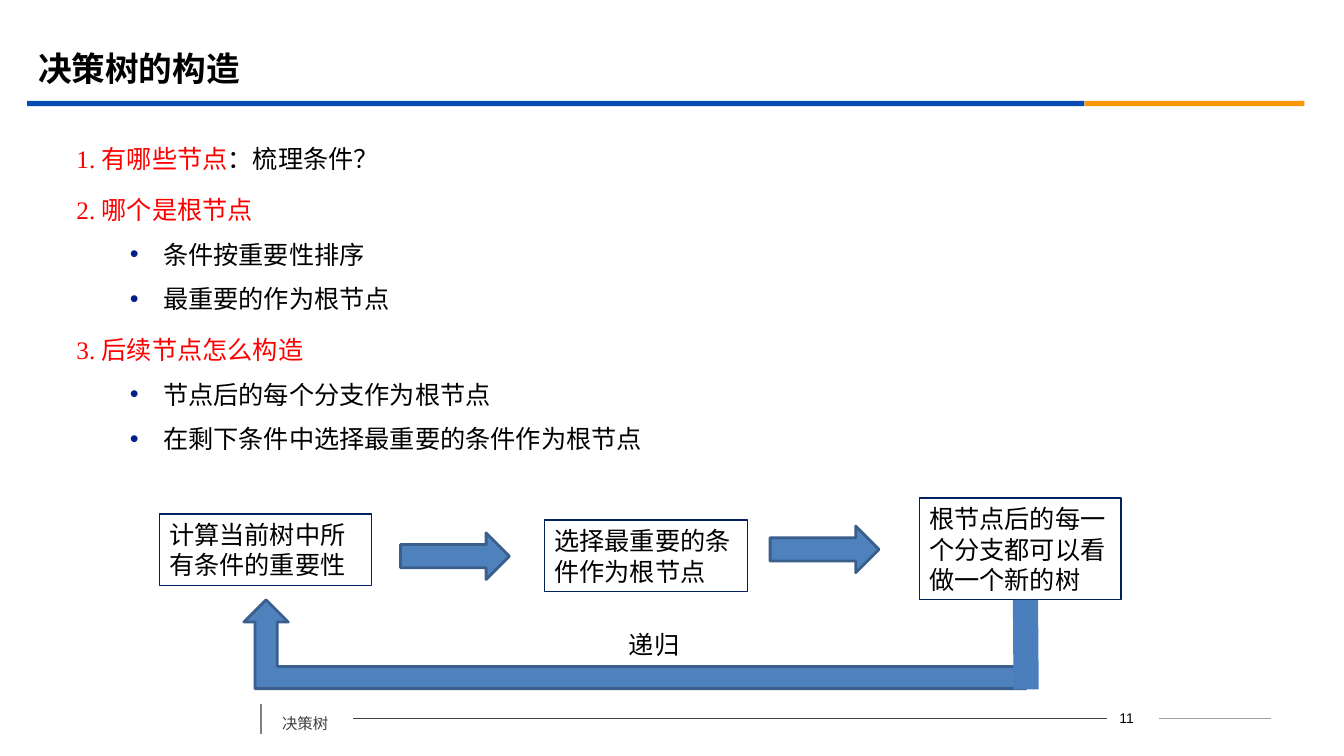
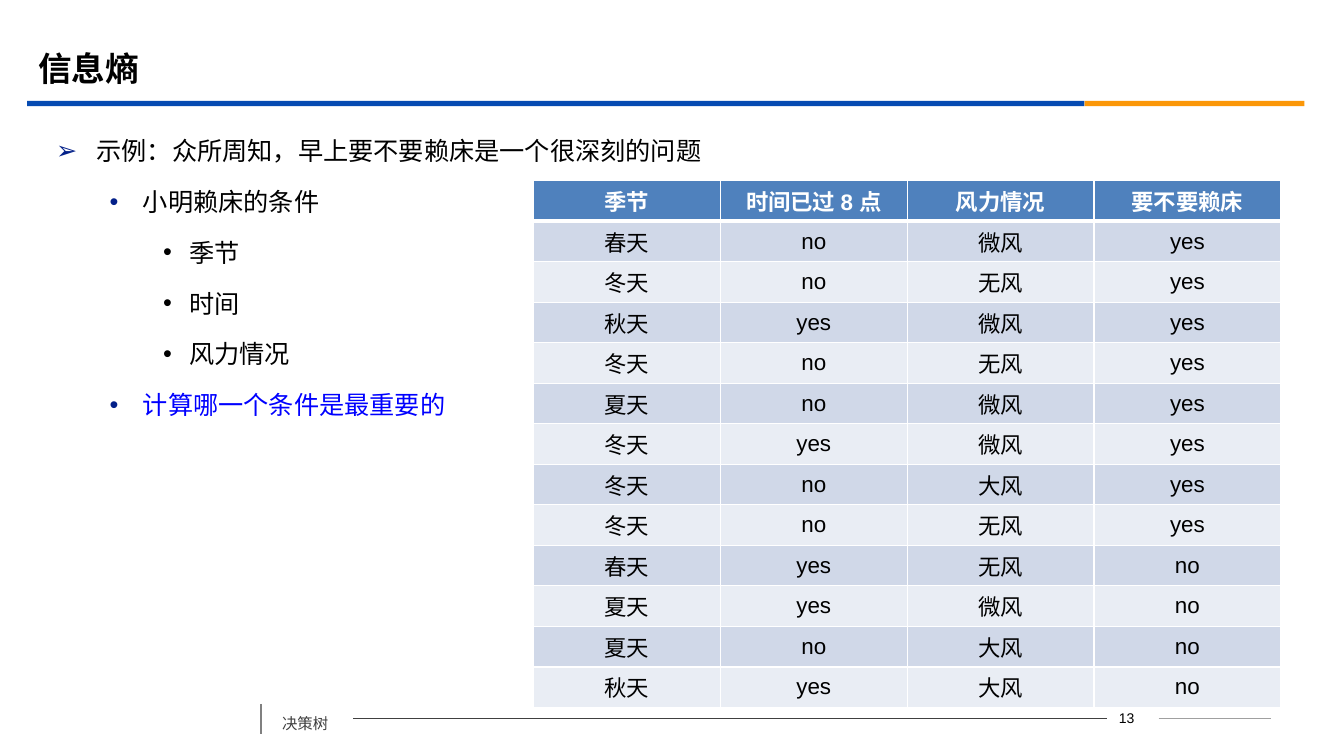
from lxml.etree import SubElement
from pptx import Presentation
from pptx.dml.color import RGBColor
from pptx.enum.shapes import MSO_CONNECTOR as Connector, MSO_SHAPE as Preset
from pptx.enum.text import MSO_ANCHOR as Anchor, PP_ALIGN as Align
from pptx.oxml import parse_xml
from pptx.oxml.ns import nsdecls, qn
from pptx.util import Inches, Pt

# Shared look
WIDTH, HEIGHT = Inches(13.333), Inches(7.5)
BLACK, WHITE, RED, LINK_BLUE = "000000", "FFFFFF", "FF0000", "0000FF"
BAND_BLUE, BAND_ORANGE, NAVY, BULLET_BLUE = "064BB2", "FB9708", "002060", "032089"
ARROW_FILL, ARROW_EDGE, RETURN_BAR = "4F81BD", "3A5F8C", "4B7EBC"
ROW_FILLS = ("E9EDF4", "D0D8E8")
GREY, DARK_GREY, LIGHT_GREY = "808080", "404040", "A0A0A0"
SANS, SERIF, TITLE_FONT, CJK_FONT = "Arial", "Times New Roman", "Montserrat", "Noto Sans CJK SC"
SINGLE_LINE = 21.8  # points, for 18-point text

# Outline styles: left margin, hanging indent, bullet, bullet colour, font
PLAIN = (0, 0, None, None, SERIF)
ARROWED = (0.4, 0.4, "➢", BULLET_BLUE, SERIF)
DOTTED = (0.86, 0.33, "•", BULLET_BLUE, CJK_FONT)
SUB_DOTTED = (1.32, 0.26, "•", BLACK, CJK_FONT)


# Units and colours
def across(percent):
    return round(WIDTH * percent / 100)


def down(percent):
    return round(HEIGHT * percent / 100)


def area(left, top, width, height):
    return across(left), down(top), across(width), down(height)


def color(hex_text):
    return RGBColor.from_string(hex_text)


# Text
def set_font(paragraph, name, size, hex_color, bold=False):
    font = paragraph.font
    font.name, font.size, font.bold = name, Pt(size), bold
    font.color.rgb = color(hex_color)
    SubElement(font._element, qn("a:ea")).set("typeface", CJK_FONT)


def set_bullet(paragraph, style):
    margin, hanging, character, hex_color, _ = style
    properties = paragraph._p.get_or_add_pPr()
    properties.set("marL", str(Inches(margin)))
    properties.set("indent", str(-Inches(hanging)))
    if character is None:
        return
    for xml in (f'<a:buClr {nsdecls("a")}><a:srgbClr val="{hex_color}"/></a:buClr>',
                f'<a:buFont {nsdecls("a")} typeface="Arial"/>',
                f'<a:buChar {nsdecls("a")} char="{character}"/>'):
        paragraph.font._element.addprevious(parse_xml(xml))


def add_text(slide, place, text, name, size, hex_color, bold=False,
             align=Align.LEFT, anchor=Anchor.TOP, spacing=None):
    frame = slide.shapes.add_textbox(*area(*place)).text_frame
    frame.word_wrap, frame.vertical_anchor = True, anchor
    paragraph = frame.paragraphs[0]
    paragraph.text, paragraph.alignment = text, align
    set_font(paragraph, name, size, hex_color, bold)
    if spacing:
        paragraph.line_spacing = Pt(spacing)


def add_outline(slide, place, items):
    """Each item is a style, a line-spacing factor and (text, colour) pieces."""
    frame = slide.shapes.add_textbox(*area(*place)).text_frame
    frame.word_wrap = True
    for index, (style, factor, *pieces) in enumerate(items):
        paragraph = frame.add_paragraph() if index else frame.paragraphs[0]
        set_font(paragraph, style[-1], 18, pieces[0][1])
        set_bullet(paragraph, style)
        paragraph.line_spacing = Pt(round(SINGLE_LINE * factor, 1))
        paragraph.space_before = Pt(3.6)
        for text, hex_color in pieces:
            run = paragraph.add_run()
            run.text = text
            if hex_color != pieces[0][1]:
                run.font.color.rgb = color(hex_color)


# Shapes and lines
def add_shape(slide, preset, place, fill=None, edge=None, weight=1):
    shape = slide.shapes.add_shape(preset, *area(*place))
    shape.shadow.inherit = False
    if fill:
        shape.fill.solid()
        shape.fill.fore_color.rgb = color(fill)
    else:
        shape.fill.background()
    if edge:
        shape.line.color.rgb = color(edge)
        shape.line.width = Pt(weight)
    else:
        shape.line.fill.background()
    return shape


def add_line(slide, start, end, hex_color, weight):
    line = slide.shapes.add_connector(Connector.STRAIGHT, across(start[0]), down(start[1]),
                                      across(end[0]), down(end[1]))
    line.line.color.rgb = color(hex_color)
    line.line.width = Pt(weight)
    SubElement(line._element.spPr, qn("a:effectLst"))


def add_step(slide, place, text):
    box = add_shape(slide, Preset.RECTANGLE, place, edge=NAVY)
    frame = box.text_frame
    frame.word_wrap, frame.vertical_anchor = True, Anchor.TOP
    paragraph = frame.paragraphs[0]
    paragraph.text, paragraph.alignment = text, Align.LEFT
    paragraph.line_spacing = Pt(SINGLE_LINE)
    set_font(paragraph, SANS, 18, BLACK)


# Table
def set_borders(cell, top, bottom):
    properties = cell._tc.get_or_add_tcPr()
    for index, (side, weight) in enumerate((("L", 1), ("R", 1), ("T", top), ("B", bottom))):
        properties.insert(index, parse_xml(
            f'<a:ln{side} {nsdecls("a")} w="{Pt(weight)}"><a:solidFill>'
            f'<a:srgbClr val="{WHITE}"/></a:solidFill></a:ln{side}>'))


def add_grid(slide, place, rows):
    table = slide.shapes.add_table(len(rows), len(rows[0]), *area(*place)).table
    for row_index, row in enumerate(rows):
        header = row_index == 0
        for column_index, text in enumerate(row):
            cell = table.cell(row_index, column_index)
            cell.fill.solid()
            cell.fill.fore_color.rgb = color(ARROW_FILL if header else ROW_FILLS[row_index % 2])
            cell.vertical_anchor = Anchor.MIDDLE
            cell.margin_left = cell.margin_right = Inches(0.07)
            cell.margin_top = cell.margin_bottom = Inches(0.04)
            set_borders(cell, 3 if row_index == 1 else 1, 3 if header else 1)
            paragraph = cell.text_frame.paragraphs[0]
            paragraph.text, paragraph.alignment = text, Align.CENTER
            set_font(paragraph, SANS, 16, WHITE if header else BLACK, header)


# Slides
def add_page(presentation, title, number):
    slide = presentation.slides.add_slide(presentation.slide_layouts[6])
    add_shape(slide, Preset.RECTANGLE, (2.03, 13.35, 78.67, 0.7), BAND_BLUE)
    add_shape(slide, Preset.RECTANGLE, (80.7, 13.35, 16.35, 0.7), BAND_ORANGE)
    add_line(slide, (19.4, 93.1), (19.4, 97.1), GREY, 1.25)
    add_line(slide, (26.3, 95), (82.4, 95), DARK_GREY, 0.75)
    add_line(slide, (86.2, 95), (94.6, 95), LIGHT_GREY, 0.75)
    add_text(slide, (20.25, 92.5, 6, 5), "决策树", CJK_FONT, 11, DARK_GREY, spacing=20)
    add_text(slide, (81.5, 93.2, 4.65, 3.3), str(number), SANS, 10, BLACK, align=Align.CENTER)
    add_text(slide, (2.1, 5.2, 90, 7.7), title, TITLE_FONT, 24, BLACK, True, anchor=Anchor.MIDDLE)
    return slide


def build_construction(presentation):
    slide = add_page(presentation, "决策树的构造", 11)
    add_outline(slide, (4.95, 16.27, 67.35, 44.3), [
        (PLAIN, 1.5, ("1. 有哪些节点", RED), ("：梳理条件？", BLACK)),
        (PLAIN, 1.5, ("2. 哪个是根节点", RED)),
        (DOTTED, 1.3, ("条件按重要性排序", BLACK)),
        (DOTTED, 1.3, ("最重要的作为根节点", BLACK)),
        (PLAIN, 1.5, ("3. 后续节点怎么构造", RED)),
        (DOTTED, 1.3, ("节点后的每个分支作为根节点", BLACK)),
        (DOTTED, 1.3, ("在剩下条件中选择最重要的条件作为根节点", BLACK)),
    ])

    # Flow of steps
    add_step(slide, (11.85, 68, 15.8, 9.45), "计算当前树中所有条件的重要性")
    add_step(slide, (40.5, 68.8, 15.1, 9.45), "选择最重要的条件作为根节点")
    add_step(slide, (68.4, 65.9, 15, 13.45), "根节点后的每一个分支都可以看做一个新的树")
    for left, top in ((29.8, 70.5), (57.3, 69.6)):
        add_shape(slide, Preset.RIGHT_ARROW, (left, top, 8.1, 6.15), ARROW_FILL, ARROW_EDGE, 2)

    # Way back to the first step
    return_arrow = add_shape(slide, Preset.BENT_UP_ARROW, (18.15, 79.35, 58.2, 11.75),
                             ARROW_FILL, ARROW_EDGE, 2)
    return_arrow._element.spPr.xfrm.set("flipH", "1")
    add_line(slide, (76.3, 79.35), (76.35, 91.2), RETURN_BAR, 18)
    add_text(slide, (46.05, 82.5, 5.5, 5.4), "递归", SANS, 18, BLACK, spacing=SINGLE_LINE)


def build_entropy(presentation):
    slide = add_page(presentation, "信息熵", 13)
    add_outline(slide, (3.45, 15.2, 91.1, 44.8), [
        (ARROWED, 1.5, ("示例：众所周知，早上要不要赖床是一个很深刻的问题", BLACK)),
        (DOTTED, 1.5, ("小明赖床的条件", BLACK)),
        (SUB_DOTTED, 1.5, ("季节", BLACK)),
        (SUB_DOTTED, 1.5, ("时间", BLACK)),
        (SUB_DOTTED, 1.5, ("风力情况", BLACK)),
        (DOTTED, 1.5, ("计算哪一个条件是最重要的", LINK_BLUE)),
    ])
    add_grid(slide, (39.7, 23.9, 55.6, 69.7), [
        ("季节", "时间已过 8 点", "风力情况", "要不要赖床"),
        ("春天", "no", "微风", "yes"),
        ("冬天", "no", "无风", "yes"),
        ("秋天", "yes", "微风", "yes"),
        ("冬天", "no", "无风", "yes"),
        ("夏天", "no", "微风", "yes"),
        ("冬天", "yes", "微风", "yes"),
        ("冬天", "no", "大风", "yes"),
        ("冬天", "no", "无风", "yes"),
        ("春天", "yes", "无风", "no"),
        ("夏天", "yes", "微风", "no"),
        ("夏天", "no", "大风", "no"),
        ("秋天", "yes", "大风", "no"),
    ])


def main():
    presentation = Presentation()
    presentation.slide_width, presentation.slide_height = WIDTH, HEIGHT
    build_construction(presentation)
    build_entropy(presentation)
    presentation.save("out.pptx")


if __name__ == "__main__":
    main()
